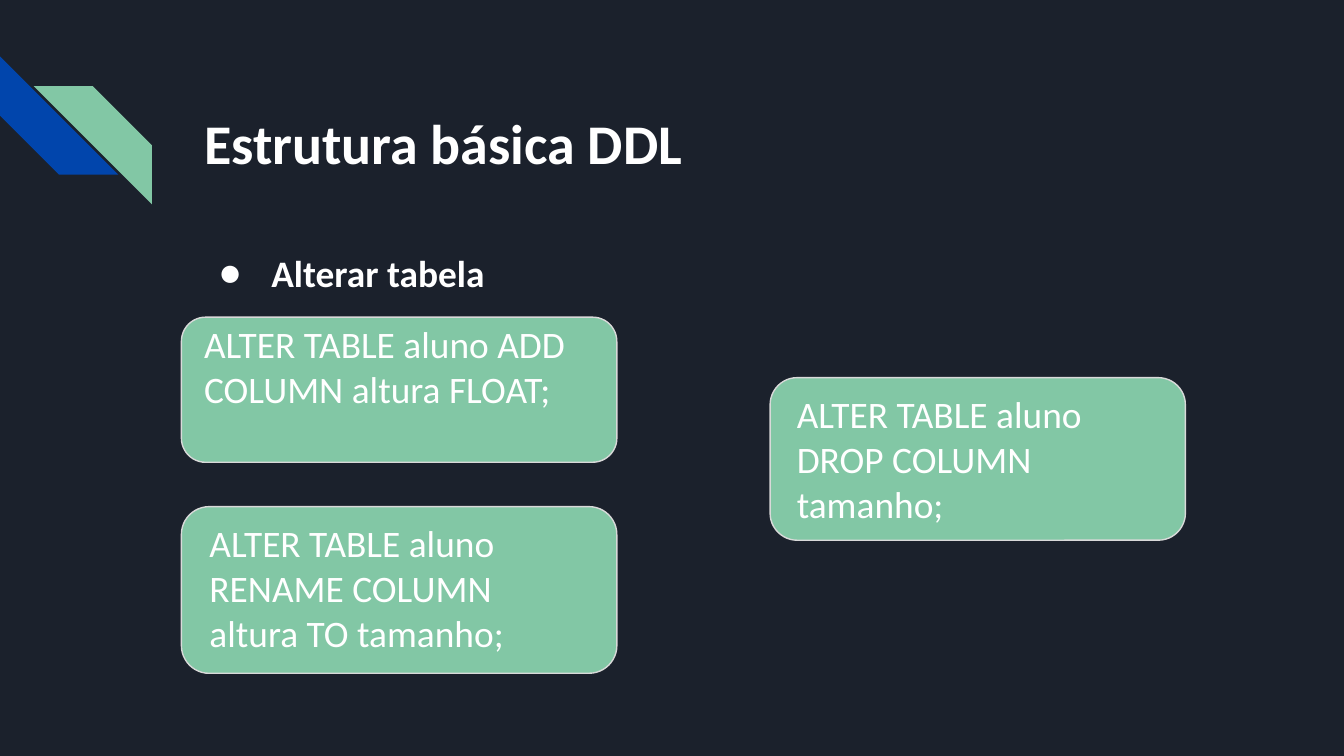
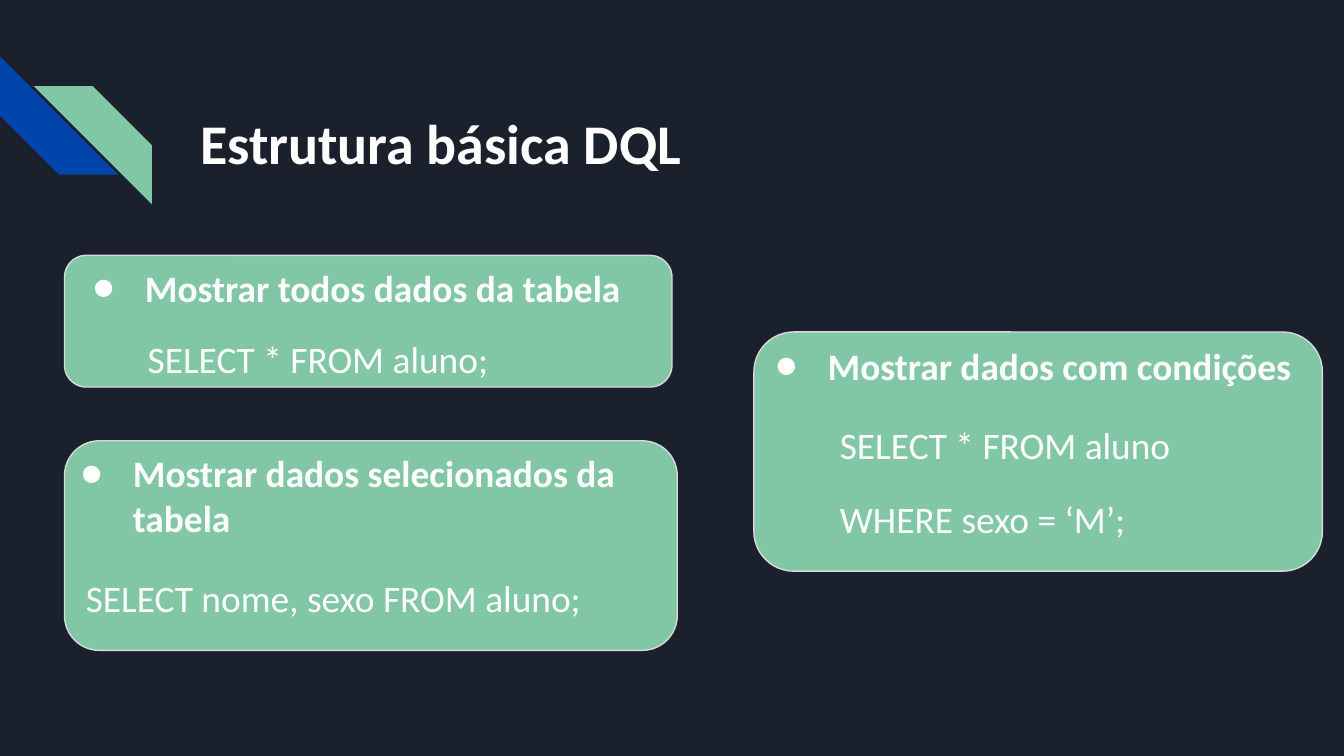
import pptx
import pptx.util
import pptx.dml.color
import pptx.enum.shapes
import pptx.enum.text
import pptx.oxml.ns
import lxml.etree
from dataclasses import dataclass
from typing import NamedTuple

Inches = pptx.util.Inches
Pt = pptx.util.Pt
Shapes = pptx.enum.shapes.MSO_SHAPE


@dataclass(frozen=True)
class Theme:
    font: str = "Calibri"
    title_size: int = 30
    body_size: int = 20
    background: str = "1B212C"
    blue: str = "0145AC"
    green: str = "82C7A5"
    outline: str = "D9D9D9"
    text: str = "FFFFFF"
    inset: float = 0.1
    code_spacing: float = 1.15
    code_gap: int = 12


THEME = Theme()


class Box(NamedTuple):
    left: float
    top: float
    width: float
    height: float

    def inside(self, left, top, width, height):
        """A box whose offset is measured from this one."""
        return Box(self.left + left, self.top + top, width, height)


def rgb(colour):
    return pptx.dml.color.RGBColor.from_string(colour)


# Text
def add_span(para, words, size, bold=False):
    span = para.add_run()
    span.text = words
    span.font.name = THEME.font
    span.font.size = Pt(size)
    span.font.bold = bold
    span.font.color.rgb = rgb(THEME.text)


def prepare_frame(shape):
    frame = shape.text_frame
    frame.word_wrap = True
    frame.auto_size = pptx.enum.text.MSO_AUTO_SIZE.NONE
    frame.vertical_anchor = pptx.enum.text.MSO_ANCHOR.TOP
    for side in ("left", "right", "top", "bottom"):
        setattr(frame, f"margin_{side}", Inches(THEME.inset))
    return frame


def add_frame(page, box):
    return prepare_frame(page.shapes.add_textbox(*map(Inches, box)))


def add_bullet(page, box, words, spacing=1.0):
    para = add_frame(page, box).paragraphs[0]
    para.line_spacing = spacing
    props = para._p.get_or_add_pPr()
    props.set("marL", str(Inches(0.5)))
    props.set("indent", str(-Inches(0.39)))
    qn = pptx.oxml.ns.qn
    colour = lxml.etree.SubElement(props, qn("a:buClr"))
    lxml.etree.SubElement(colour, qn("a:srgbClr")).set("val", THEME.text)
    lxml.etree.SubElement(props, qn("a:buFont")).set("typeface", THEME.font)
    lxml.etree.SubElement(props, qn("a:buChar")).set("char", "●")
    add_span(para, words, THEME.body_size, bold=True)


def add_code(page, box, lines, spacing=1.0):
    frame = add_frame(page, box)
    for index, line in enumerate(lines):
        para = frame.add_paragraph() if index else frame.paragraphs[0]
        para.line_spacing = spacing
        para.space_before = Pt(THEME.code_gap if index else 0)
        add_span(para, line, THEME.body_size)


# Shapes
def add_filled(page, kind, box, colour):
    shape = page.shapes.add_shape(kind, *map(Inches, box))
    shape.shadow.inherit = False
    shape.fill.solid()
    shape.fill.fore_color.rgb = rgb(colour)
    shape.line.fill.background()
    return shape


def add_card(page, box):
    card = add_filled(page, Shapes.ROUNDED_RECTANGLE, box, THEME.green)
    card.line.color.rgb = rgb(THEME.outline)
    card.line.width = Pt(0.75)


def add_stripes(page, box):
    side = 0.88
    for left, top, turn, colour in ((0, 0, 270, THEME.blue), (0.25, 0.22, 90, THEME.green)):
        stripe = add_filled(page, Shapes.DIAGONAL_STRIPE,
                            box.inside(left, top, side, side), colour)
        stripe.rotation = turn


# Page shared by both slides
def add_page(deck, title, title_box):
    page = deck.slides.add_slide(deck.slide_layouts.get_by_name("Title Only"))
    add_stripes(page, Box(0, 0.42, 1.13, 1.1))
    holder = page.shapes.title
    holder.left, holder.top, holder.width, holder.height = map(Inches, title_box)
    para = prepare_frame(holder).paragraphs[0]
    para.alignment = pptx.enum.text.PP_ALIGN.LEFT
    para.line_spacing = 1.0
    para.space_before = Pt(0)
    add_span(para, title, THEME.title_size, bold=True)
    return page


# Cards holding one statement
def add_statement(page, card, code_box, statement):
    add_card(page, card)
    add_code(page, card.inside(*code_box), [statement])


# Cards with a bulleted heading above a query
def add_query(page, card, heading_box, heading, code_box, lines):
    add_card(page, card)
    add_bullet(page, card.inside(*heading_box), heading)
    add_code(page, card.inside(*code_box), lines, THEME.code_spacing)


def build_ddl(deck):
    page = add_page(deck, "Estrutura básica DDL", Box(1.42, 0.71, 4.31, 0.72))
    add_bullet(page, Box(1.42, 1.71, 2.91, 0.55), "Alterar tabela", THEME.code_spacing)
    add_statement(page, Box(1.35, 2.36, 3.24, 1.08), (0.07, -0.07, 3.26, 1.21),
                  "ALTER TABLE aluno ADD COLUMN altura FLOAT;")
    add_statement(page, Box(1.35, 3.77, 3.24, 1.24), (0.11, 0, 3.02, 1.21),
                  "ALTER TABLE aluno RENAME COLUMN altura TO tamanho;")
    add_statement(page, Box(5.73, 2.81, 3.09, 1.21), (0.1, 0, 2.91, 1.21),
                  "ALTER TABLE aluno DROP COLUMN tamanho;")


def build_dql(deck):
    page = add_page(deck, "Estrutura básica DQL", Box(1.39, 0.71, 4.31, 0.67))
    add_query(page, Box(0.48, 1.9, 4.52, 0.98),
              (0, -0.03, 4.67, 0.48), "Mostrar todos dados da tabela",
              (0.52, 0.45, 3.15, 0.54), ["SELECT * FROM aluno;"])
    add_query(page, Box(0.48, 3.28, 4.56, 1.56),
              (-0.09, -0.03, 4.38, 0.88), "Mostrar dados selecionados da tabela",
              (0.06, 0.85, 4.56, 0.54), ["SELECT nome, sexo FROM aluno;"])
    add_query(page, Box(5.61, 2.47, 4.23, 1.78),
              (-0.05, -0.02, 4.56, 0.54), "Mostrar dados com condições",
              (0.54, 0.52, 3.28, 1.09), ["SELECT * FROM aluno", "WHERE sexo = ‘M’;"])


def main():
    deck = pptx.Presentation()
    # Widescreen, 16:9
    deck.slide_width = Inches(10)
    deck.slide_height = Inches(10 * 9 / 16)
    backdrop = deck.slide_master.background.fill
    backdrop.solid()
    backdrop.fore_color.rgb = rgb(THEME.background)
    build_ddl(deck)
    build_dql(deck)
    deck.save("out.pptx")


if __name__ == "__main__":
    main()
